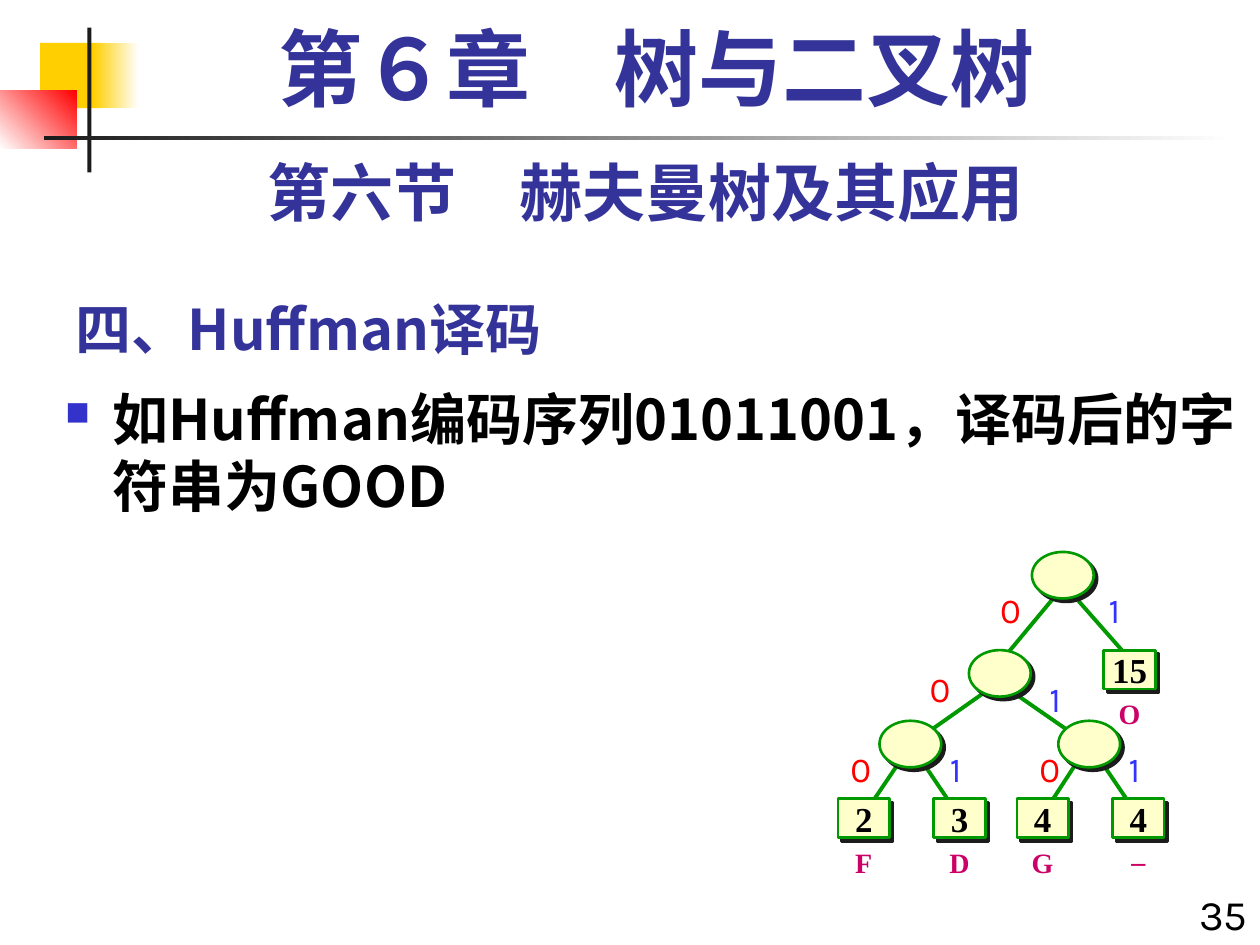
from lxml import etree
from pptx import Presentation
from pptx.dml.color import RGBColor
from pptx.enum.shapes import MSO_CONNECTOR, MSO_SHAPE
from pptx.enum.text import MSO_ANCHOR, MSO_AUTO_SIZE, PP_ALIGN
from pptx.oxml import parse_xml
from pptx.oxml.ns import qn
from pptx.util import Pt

RECT, OVAL = MSO_SHAPE.RECTANGLE, MSO_SHAPE.OVAL
LINE = MSO_CONNECTOR.STRAIGHT
LEFT, MID, RIGHT = PP_ALIGN.LEFT, PP_ALIGN.CENTER, PP_ALIGN.RIGHT
TOP, CENTER, BOTTOM = MSO_ANCHOR.TOP, MSO_ANCHOR.MIDDLE, MSO_ANCHOR.BOTTOM
NS = "http://schemas.openxmlformats.org/drawingml/2006/main"
CJK, SANS, SERIF = "Noto Sans CJK SC", "Karla", "Times New Roman"
NAVY, BLACK, GREEN, CREAM = "333399", "000000", "009900", "FFFFCC"

# Content
CHAPTER = "第６章　树与二叉树"
SECTION = "第六节　赫夫曼树及其应用"
TITLE = "四、Huffman译码"
POINT = "如Huffman编码序列01011001，译码后的字符串为GOOD"
PAGE = "35"

# Decor: left, top, width, height, colours, angle
DECOR = [
    (23, 24.5, 34.6, 37.4, ["FFCF01"], 0),
    (53.3, 24.5, 25.9, 37.4, ["FFCF01", "FFFFFF"], 0),
    (0, 51.8, 44, 33.1, ["FFFFFF", "FF0000"], 45),
    (49.9, 15.8, 2.4, 82.8, ["1C1C1C"], 0),
    (25.2, 77.8, 680.4, 2.4, ["1C1C1C", "FFFFFF"], 0),
]

# Tree: node centres; leaves add weight, letter and letter drop
NODES = [(607.3, 328.7), (571.3, 384.8), (520.2, 425.2), (622.4, 425.2)]
LEAVES = [
    (645.5, 382.7, "15", "O", 25.2),
    (493.6, 467.6, "2", "F", 25.2),
    (548.3, 467.6, "3", "D", 25.2),
    (595.8, 467.6, "4", "G", 25.2),
    (650.5, 467.6, "4", "_", 18.8),
]
# Edges: start, end, bit, top left of the bit
EDGES = [
    (604.8, 338.4, 576.7, 372.2, "0", 564.5, 332.6),
    (616.3, 343.4, 648.7, 380.2, "1", 626.4, 332.6),
    (565.2, 393.8, 531.4, 417.6, "0", 524.2, 378),
    (577.4, 394.6, 610.6, 417.6, "1", 592.6, 383.8),
    (514.8, 434.2, 496.8, 460.8, "0", 478.8, 423.4),
    (526.3, 434.2, 544.3, 460.8, "1", 535.7, 423.4),
    (616.3, 434.2, 599, 460.8, "0", 586.8, 423.4),
    (628.6, 434.2, 646.6, 460.8, "1", 637.9, 423.4),
]
BITS = {"0": "FF0000", "1": "3333FF"}
OVAL_W, OVAL_H = 35.3, 26.6
LEAF_W, LEAF_H = 29.5, 22.3

SHADOW = (f'<a:effectLst xmlns:a="{NS}"><a:outerShdw dist="35560" dir="2700000" '
          'algn="ctr" rotWithShape="0"><a:srgbClr val="1C1C1C"/>'
          '</a:outerShdw></a:effectLst>')


def rgb(code):
    return RGBColor.from_string(code)


def write(shape, text, size, font, color, bold=True, align=LEFT, anchor=TOP,
          wrap=True):
    frame = shape.text_frame
    frame.text = text
    frame.word_wrap = wrap
    frame.auto_size = MSO_AUTO_SIZE.NONE
    frame.vertical_anchor = anchor
    para = frame.paragraphs[0]
    para.alignment = align
    run = para.runs[0]
    run.font.size, run.font.name, run.font.bold = Pt(size), font, bold
    run.font.color.rgb = rgb(color)
    east = etree.SubElement(run.font._element, qn("a:ea"))
    east.set("typeface", CJK)
    return para


def label(owner, box, *args, **style):
    shape = owner.add_textbox(*map(Pt, box))
    return write(shape, *args, **style)


def node(owner, kind, x, y, w, h):
    shape = owner.add_shape(kind, Pt(x - w / 2), Pt(y - h / 2), Pt(w), Pt(h))
    shape.fill.solid()
    shape.fill.fore_color.rgb = rgb(CREAM)
    shape.line.color.rgb = rgb(GREEN)
    shape.line.width = Pt(1.5)
    shape._element.spPr.append(parse_xml(SHADOW))
    return shape


def decorate(shapes):
    for x, y, w, h, colors, angle in DECOR:
        shape = shapes.add_shape(RECT, Pt(x), Pt(y), Pt(w), Pt(h))
        shape.shadow.inherit = False
        shape.line.fill.background()
        if len(colors) == 1:
            shape.fill.solid()
            shape.fill.fore_color.rgb = rgb(colors[0])
        else:
            shape.fill.gradient()
            shape.fill.gradient_angle = angle
            for stop, color in zip(shape.fill.gradient_stops, colors):
                stop.color.rgb = rgb(color)


def bullet(para):
    props = para._p.get_or_add_pPr()
    props.set("marL", str(Pt(27)))
    props.set("indent", str(-Pt(27)))
    tint = etree.SubElement(props, qn("a:buClr"))
    etree.SubElement(tint, qn("a:srgbClr")).set("val", "3333CC")
    etree.SubElement(props, qn("a:buSzPct")).set("val", "60000")
    etree.SubElement(props, qn("a:buChar")).set("char", "■")


def draw_tree(tree):
    for x1, y1, x2, y2, bit, left, top in EDGES:
        edge = tree.add_connector(LINE, Pt(x1), Pt(y1), Pt(x2), Pt(y2))
        edge.line.color.rgb = rgb(GREEN)
        edge.line.width = Pt(2.25)
        etree.SubElement(edge._element.spPr, qn("a:effectLst"))
    for x, y in NODES:
        node(tree, OVAL, x, y, OVAL_W, OVAL_H)
    for x, y, weight, letter, drop in LEAVES:
        leaf = node(tree, RECT, x, y, LEAF_W, LEAF_H)
        write(leaf, weight, 20, SERIF, BLACK, align=MID, anchor=CENTER, wrap=False)
        label(tree, (x - 13.3, y + drop - 13.3, 26.6, 26.6), letter, 16, SERIF,
              "CC0066", align=MID, anchor=CENTER, wrap=False)
    for *_, bit, left, top in EDGES:
        label(tree, (left, top, 33.8, 31), bit, 20, SANS, BITS[bit], bold=False)


def main():
    deck = Presentation()
    deck.slide_width, deck.slide_height = Pt(720), Pt(540)
    slide = deck.slides.add_slide(deck.slide_layouts[5])
    shapes = slide.shapes
    decorate(shapes)

    # Headings
    title = shapes.title
    title.left, title.top, title.width, title.height = map(Pt, (36, 156.2, 450, 54))
    write(title, TITLE, 32, CJK, NAVY, anchor=BOTTOM)
    label(shapes, (48.2, 12.2, 653.8, 59.8), CHAPTER, 48, SERIF, NAVY,
          align=MID).line_spacing = 0.9
    label(shapes, (36, 84.2, 666, 50.4), SECTION, 36, SANS, NAVY, align=MID)

    # Body and page number
    bullet(label(shapes, (30.2, 216, 689.8, 324), POINT, 32, CJK, BLACK))
    label(shapes, (671.8, 504, 48.2, 36), PAGE, 24, SANS, BLACK, bold=False,
          align=RIGHT)

    draw_tree(shapes.add_group_shape().shapes)
    deck.save("out.pptx")


if __name__ == "__main__":
    main()
